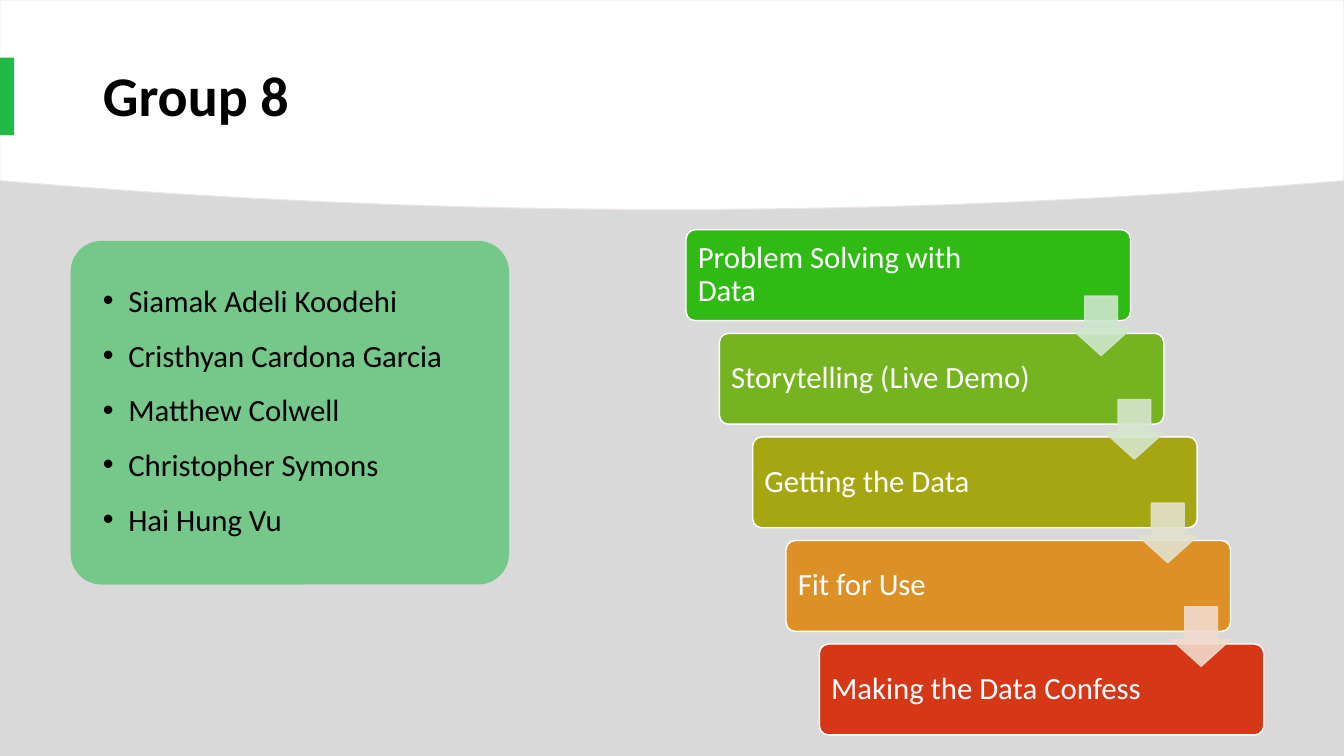
"""Build the Group 8 slide: team members beside a staircase of agenda steps."""
import pptx
import pptx.util
import pptx.dml.color
import pptx.enum.shapes
import pptx.enum.text
import pptx.oxml.ns
import lxml.etree

Cm = pptx.util.Cm
Pt = pptx.util.Pt
KIND = pptx.enum.shapes.MSO_SHAPE
ANCHOR = pptx.enum.text.MSO_ANCHOR
LEFT = pptx.enum.text.PP_ALIGN.LEFT
qn = pptx.oxml.ns.qn

HEX = {"white": "FFFFFF", "black": "000000", "gray": "D9D9D9", "edge": "F0E5E5", "green": "21BA47"}
NAMES = ["Siamak Adeli Koodehi", "Cristhyan Cardona Garcia", "Matthew Colwell",
         "Christopher Symons", "Hai Hung Vu"]
STEPS = [("Problem Solving with Data", "30BA14"), ("Storytelling (Live Demo)", "75B320"),
         ("Getting the Data", "A6A612"), ("Fit for Use", "DC9026"),
         ("Making the Data Confess", "D53717")]
ARROWS = ["CDE7CC", "D6E5CD", "E1E1CC", "F2DBCD"]


def paint(shape, fill, line=None, width=1, alpha=100):
    shape.shadow.inherit = False
    shape.fill.solid()
    shape.fill.fore_color.rgb = pptx.dml.color.RGBColor.from_string(fill)
    if line:
        shape.line.color.rgb = pptx.dml.color.RGBColor.from_string(line)
        shape.line.width = Pt(width)
    else:
        shape.line.fill.background()
    if alpha < 100:
        for tint in shape.element.spPr.iter(qn("a:srgbClr")):
            lxml.etree.SubElement(tint, qn("a:alpha")).set("val", str(alpha * 1000))


def style(para, size, color, space, bold=False):
    para.alignment = LEFT
    para.line_spacing = space
    for run in para.runs:
        run.font.name = "Calibri"
        run.font.size = Pt(size)
        run.font.bold = bold
        run.font.color.rgb = pptx.dml.color.RGBColor.from_string(color)


deck = pptx.Presentation()
deck.slide_width, deck.slide_height = Cm(33.87), Cm(19.05)
slide = deck.slides.add_slide(deck.slide_layouts[1])
slide.background.fill.solid()
slide.background.fill.fore_color.rgb = pptx.dml.color.RGBColor.from_string(HEX["gray"])
shapes = slide.shapes
title, body = slide.placeholders

count = 60
arc = []
for i in range(count + 1):
    part = 1 - 2 * i / count
    arc.append((Cm(33.87 * (1 - i / count)), Cm(5.28 - 0.73 * part ** 2)))
path = shapes.build_freeform(0, 0)
path.add_line_segments([(Cm(33.87), 0)] + arc, close=True)
curve = path.convert_to_shape()
paint(curve, HEX["white"], HEX["edge"], 0.75)

curve.element.addnext(title.element)
title.left, title.top, title.width, title.height = Cm(2.34), Cm(0.71), Cm(29.21), Cm(3.53)
title.text_frame.text = "Group 8"
title.text_frame.vertical_anchor = ANCHOR.MIDDLE
style(title.text_frame.paragraphs[0], 40, HEX["black"], 0.9, True)

bar = shapes.add_shape(KIND.RECTANGLE, 0, Cm(1.45), Cm(0.36), Cm(1.96))
paint(bar, HEX["green"])

panel = shapes.add_shape(KIND.ROUNDED_RECTANGLE, Cm(1.78), Cm(6.07), Cm(11.05), Cm(8.66))
panel.adjustments[0] = 0.09
paint(panel, HEX["green"], alpha=54)

panel.element.addnext(body.element)
body.left, body.top, body.width, body.height = Cm(2.34), Cm(6.88), Cm(11.1), Cm(10.26)
body.text_frame.text = "\n".join(NAMES)
body.text_frame.auto_size = pptx.enum.text.MSO_AUTO_SIZE.NONE
for para in body.text_frame.paragraphs:
    style(para, 22, HEX["black"], 1.1)
    para.space_before = Pt(10)
    props = para._p.get_or_add_pPr()
    props.set("marL", str(Cm(0.64)))
    props.set("indent", str(-Cm(0.64)))
    lxml.etree.SubElement(props, qn("a:buChar")).set("char", "•")

for i, (text, color) in enumerate(STEPS):
    step = shapes.add_shape(KIND.ROUNDED_RECTANGLE, Cm(17.29 + 0.84 * i), Cm(5.79 + 2.61 * i),
                            Cm(11.2), Cm(2.29))
    step.adjustments[0] = 0.1
    paint(step, color, HEX["white"])
    frame = step.text_frame
    frame.text = text
    frame.word_wrap = True
    frame.vertical_anchor = ANCHOR.MIDDLE
    frame.margin_left = frame.margin_top = frame.margin_bottom = Cm(0.23)
    frame.margin_right = Cm(2.84)
    style(frame.paragraphs[0], 22, HEX["white"], 0.9)

for i, color in enumerate(ARROWS):
    arrow = shapes.add_shape(KIND.DOWN_ARROW, Cm(27 + 0.84 * i), Cm(7.46 + 2.61 * i),
                             Cm(1.5), Cm(1.5))
    arrow.adjustments[0] = 0.55
    arrow.adjustments[1] = 0.45
    paint(arrow, color, color, alpha=90)

deck.save("out.pptx")
